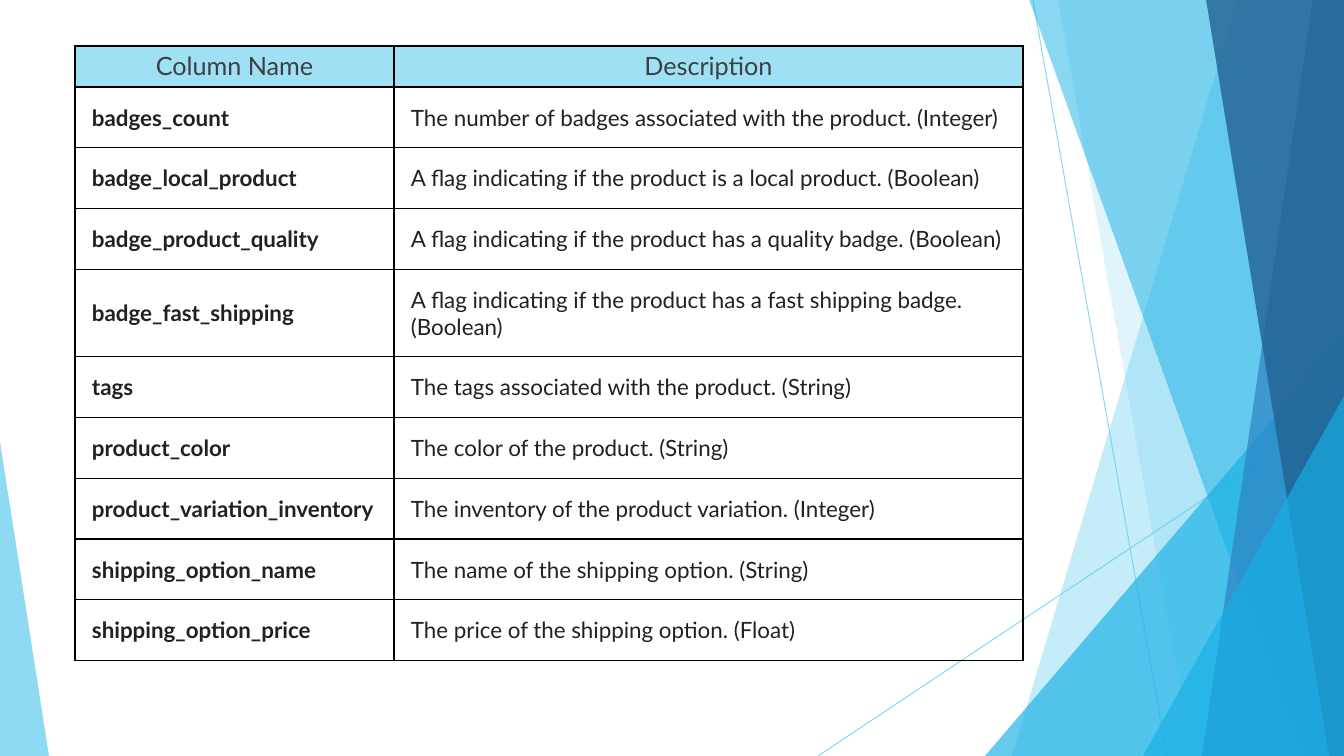
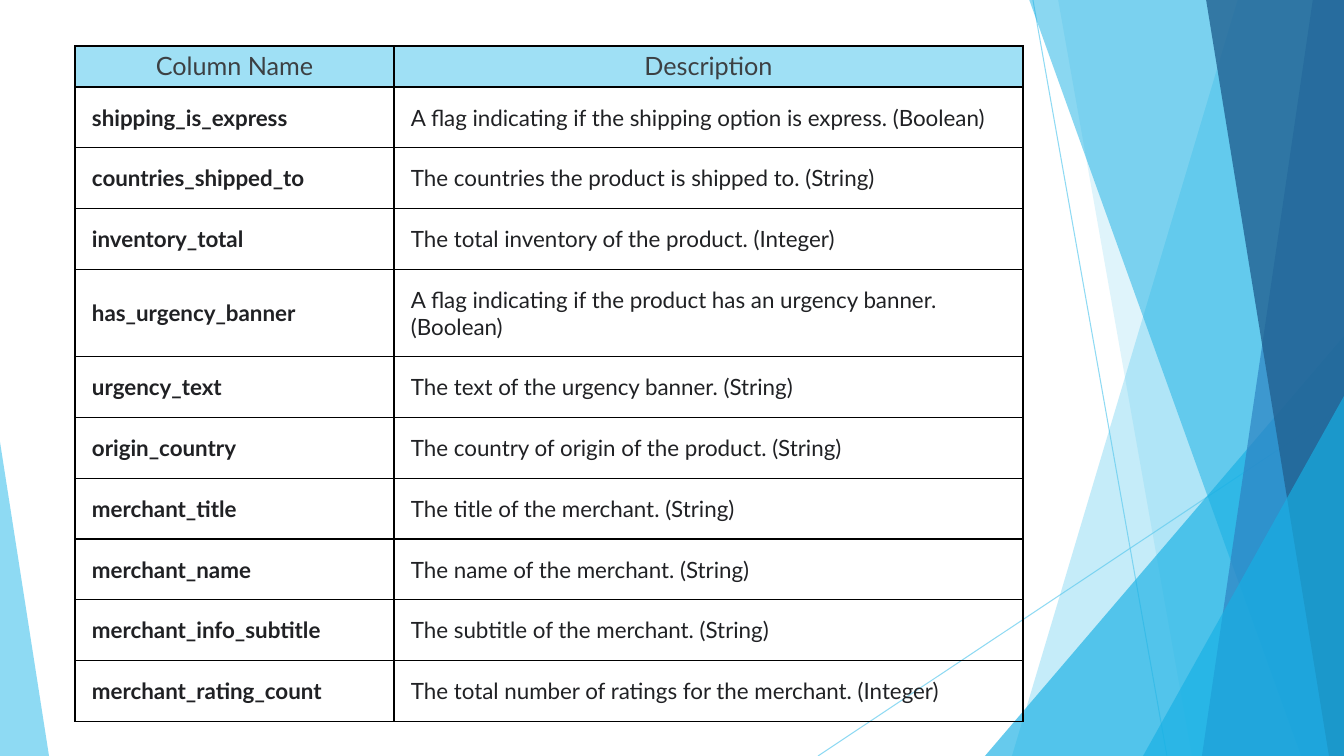
from lxml import etree
from pptx import Presentation
from pptx import util as u
from pptx.dml import color as dml
from pptx.enum import shapes, text
from pptx.oxml import ns

PX = 914400 / 100.8
WIDTH, HEIGHT = 1344, 756
FONT = "Lato"
COLORS = {
    "sky": "5FCBEF",
    "cyan": "17B0E4",
    "blue": "2E83C3",
    "navy": "226292",
    "header": "9FE0F5",
    "heading": "3C4043",
    "body": "202124",
    "border": "000000",
}
TABLE_BOX = (75, 46, 948)
NAME_WIDTH = 319
HEADER_HEIGHT, ROW_HEIGHT, CELL_MARGIN = 41, 60, 17
HEADINGS = ("Column Name", "Description")

PRODUCT_COLUMNS = [
    ("badges_count", "The number of badges associated with the product. (Integer)"),
    ("badge_local_product", "A flag indicating if the product is a local product. (Boolean)"),
    ("badge_product_quality", "A flag indicating if the product has a quality badge. (Boolean)"),
    ("badge_fast_shipping", "A flag indicating if the product has a fast shipping badge. (Boolean)"),
    ("tags", "The tags associated with the product. (String)"),
    ("product_color", "The color of the product. (String)"),
    ("product_variation_inventory", "The inventory of the product variation. (Integer)"),
    ("shipping_option_name", "The name of the shipping option. (String)"),
    ("shipping_option_price", "The price of the shipping option. (Float)"),
]
MERCHANT_COLUMNS = [
    ("shipping_is_express", "A flag indicating if the shipping option is express. (Boolean)"),
    ("countries_shipped_to", "The countries the product is shipped to. (String)"),
    ("inventory_total", "The total inventory of the product. (Integer)"),
    ("has_urgency_banner", "A flag indicating if the product has an urgency banner. (Boolean)"),
    ("urgency_text", "The text of the urgency banner. (String)"),
    ("origin_country", "The country of origin of the product. (String)"),
    ("merchant_title", "The title of the merchant. (String)"),
    ("merchant_name", "The name of the merchant. (String)"),
    ("merchant_info_subtitle", "The subtitle of the merchant. (String)"),
    ("merchant_rating_count", "The total number of ratings for the merchant. (Integer)"),
]


def px(length):
    return u.Emu(round(length * PX))


def rgb(name):
    return dml.RGBColor.from_string(COLORS[name])


def set_opacity(part, percent):
    tint = part.element.spPr.find(".//" + ns.qn("a:srgbClr"))
    etree.SubElement(tint, ns.qn("a:alpha"), val=str(percent * 1000))


def paint(facet, color, opacity):
    facet.shadow.inherit = False
    facet.fill.solid()
    facet.fill.fore_color.rgb = rgb(color)
    facet.line.fill.background()
    set_opacity(facet, opacity)


def add_ray(group, start, end):
    ray = group.shapes.add_connector(
        shapes.MSO_CONNECTOR.STRAIGHT, *map(px, start + end))
    ray.line.color.rgb = rgb("sky")
    ray.line.width = u.Pt(0.75)
    set_opacity(ray, 70)
    etree.SubElement(ray.element.spPr, ns.qn("a:effectLst"))


def add_pane(group, top_x, bottom_x, color, opacity):
    corners = [(top_x, -1), (WIDTH, -1), (WIDTH, HEIGHT), (bottom_x, HEIGHT)]
    corners = [(px(x), px(y)) for x, y in corners]
    outline = group.shapes.build_freeform(*corners[0])
    outline.add_line_segments(corners[1:], close=True)
    paint(outline.convert_to_shape(), color, opacity)


def add_wedge(group, left, top, width, apex, color, opacity):
    wedge = group.shapes.add_shape(
        shapes.MSO_SHAPE.ISOSCELES_TRIANGLE,
        px(left), px(top), px(width), px(HEIGHT - top))
    wedge.adjustments[0] = apex
    paint(wedge, color, opacity)


def add_backdrop(slide):
    layout = slide.slide_layout
    for placeholder in list(layout.placeholders):
        layout.shapes.element.remove(placeholder.element)
    group = slide.shapes.add_group_shape()
    add_ray(group, (1033, 0), (1167, HEIGHT))
    add_ray(group, (WIDTH, 406), (818, HEIGHT))
    add_pane(group, 1238, 1012, "sky", 36)
    add_pane(group, 1058, 1192, "sky", 20)
    add_wedge(group, 985, 336, 359, 1, "cyan", 66)
    add_pane(group, 1029, 1301, "cyan", 50)
    add_pane(group, 1313, 1202, "blue", 70)
    add_pane(group, 1206, 1329, "navy", 80)
    add_wedge(group, 1143, 396, 201, 1, "cyan", 66)
    add_wedge(group, 0, 442, 49, 0, "sky", 70)
    layout.shapes.element.append(group.element)


def add_borders(cell):
    properties = cell._tc.get_or_add_tcPr()
    for side in ("lnL", "lnR", "lnT", "lnB"):
        border = etree.SubElement(properties, ns.qn("a:" + side), w=str(u.Pt(1)))
        fill = etree.SubElement(border, ns.qn("a:solidFill"))
        etree.SubElement(fill, ns.qn("a:srgbClr"), val=COLORS["border"])


def write_cell(cell, wording, size, color, bold=False):
    add_borders(cell)
    run = cell.text_frame.paragraphs[0].add_run()
    run.text = wording
    run.font.name = FONT
    run.font.size = u.Pt(size)
    run.font.bold = bold
    run.font.color.rgb = rgb(color)


def write_heading(cell, wording):
    write_cell(cell, wording, 18, "heading")
    cell.fill.solid()
    cell.fill.fore_color.rgb = rgb("header")
    cell.text_frame.paragraphs[0].alignment = text.PP_ALIGN.CENTER


def write_entry(cell, wording, bold):
    write_cell(cell, wording, 16, "body", bold)
    cell.fill.background()
    cell.vertical_anchor = text.MSO_ANCHOR.MIDDLE
    cell.margin_left = cell.margin_right = px(CELL_MARGIN)
    cell.margin_top = cell.margin_bottom = px(CELL_MARGIN)


def add_dictionary(slide, box, entries):
    left, top, width = box
    height = HEADER_HEIGHT + ROW_HEIGHT * len(entries)
    dictionary = slide.shapes.add_table(
        len(entries) + 1, 2, px(left), px(top), px(width), px(height)).table
    dictionary.first_row = dictionary.horz_banding = False
    dictionary.columns[0].width = px(NAME_WIDTH)
    dictionary.columns[1].width = px(width - NAME_WIDTH)
    dictionary.rows[0].height = px(HEADER_HEIGHT)
    for column, heading in enumerate(HEADINGS):
        write_heading(dictionary.cell(0, column), heading)
    for row, entry in enumerate(entries, 1):
        dictionary.rows[row].height = px(ROW_HEIGHT)
        for column, wording in enumerate(entry):
            write_entry(dictionary.cell(row, column), wording, column == 0)


def main():
    deck = Presentation()
    deck.slide_width, deck.slide_height = px(WIDTH), px(HEIGHT)
    blank = deck.slide_layouts[6]
    pages = [deck.slides.add_slide(blank) for _ in range(2)]
    add_backdrop(pages[0])
    for page, entries in zip(pages, (PRODUCT_COLUMNS, MERCHANT_COLUMNS)):
        add_dictionary(page, TABLE_BOX, entries)
    deck.save("out.pptx")


if __name__ == "__main__":
    main()
